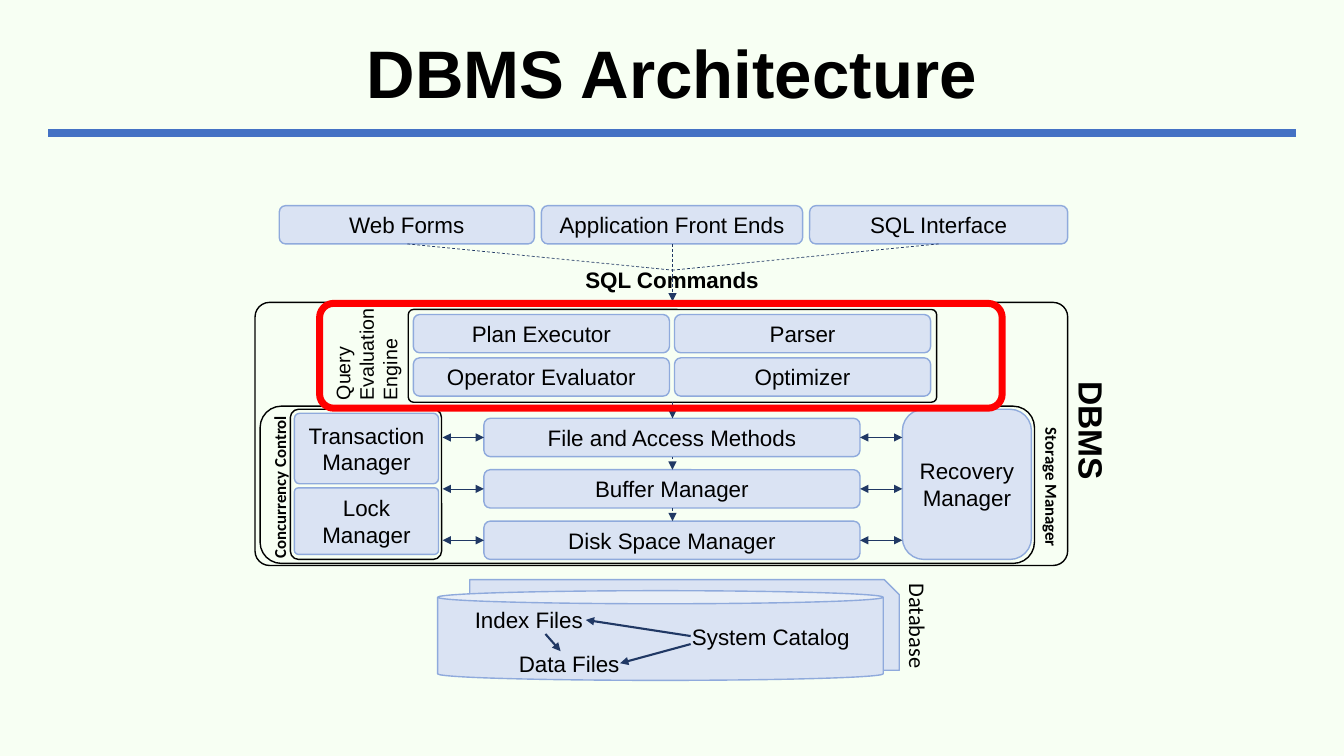
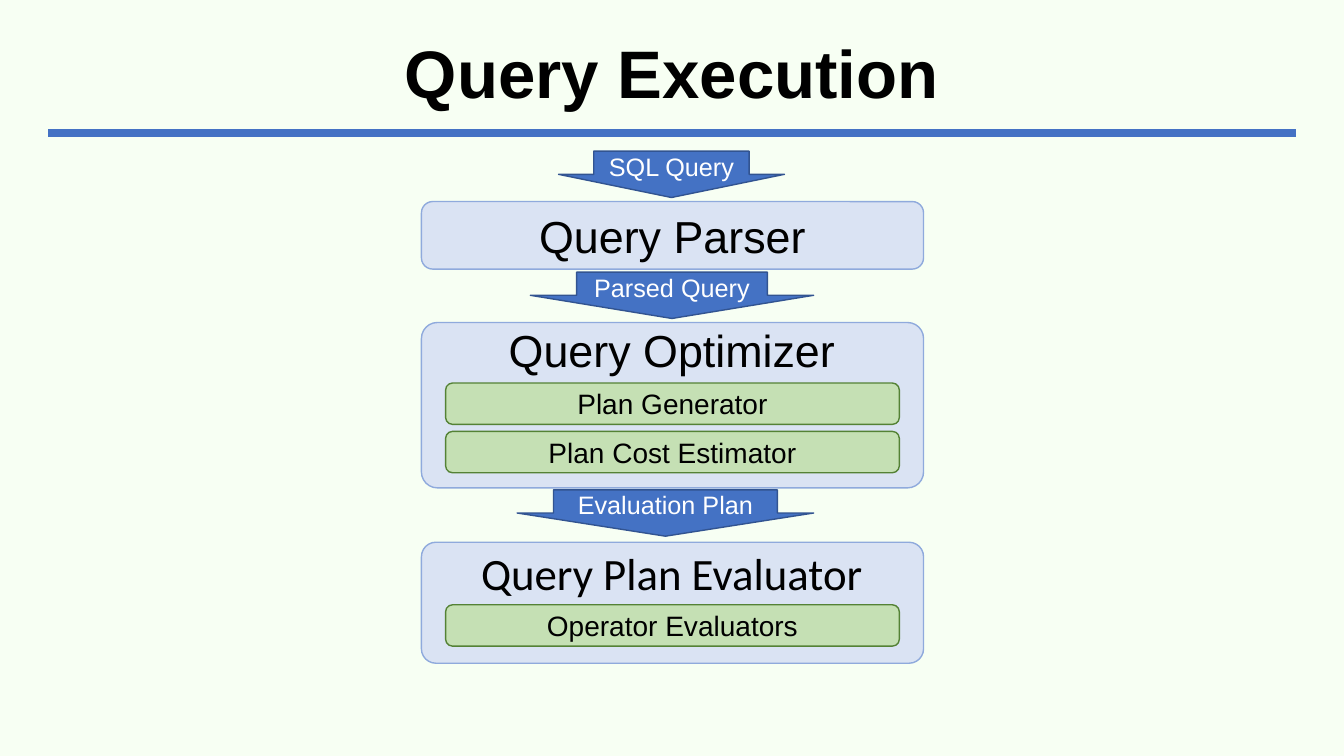
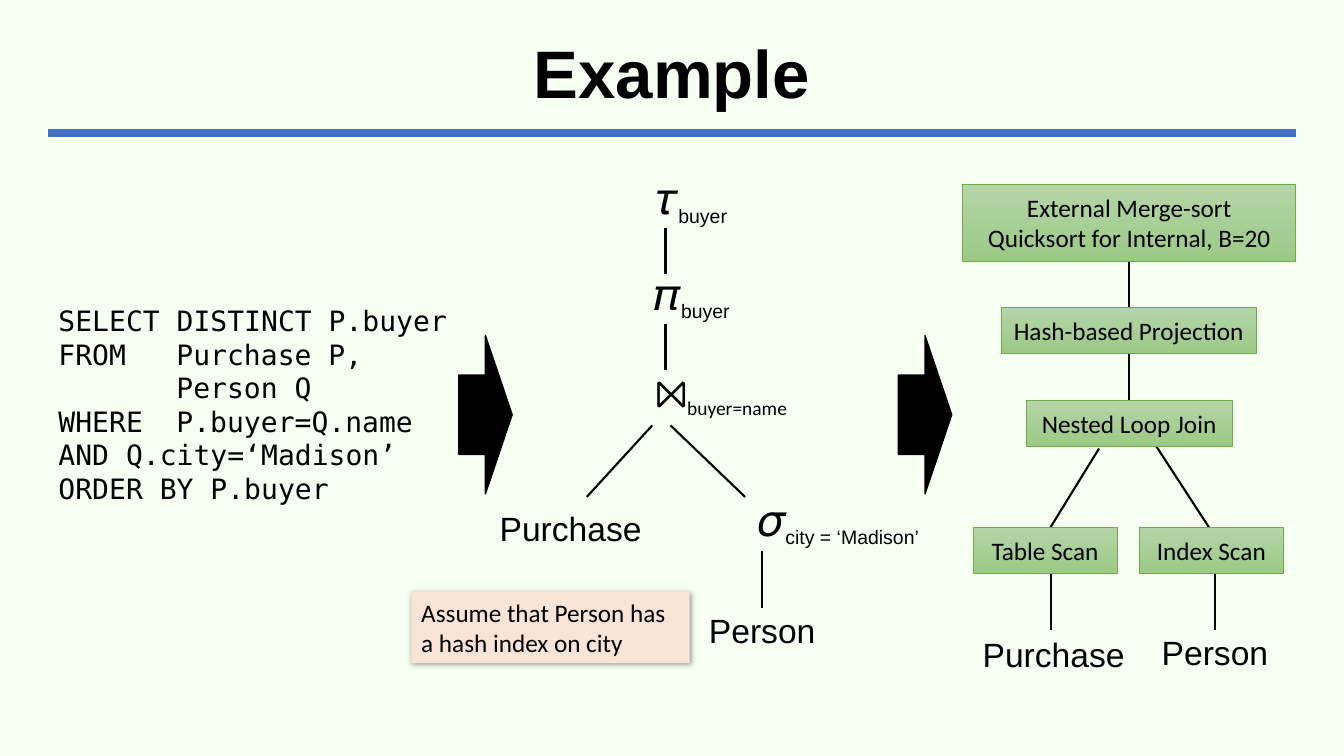
"""Build three slides on database query execution."""
from dataclasses import dataclass

from lxml import etree
from pptx import Presentation
from pptx import util as u
from pptx.dml.color import RGBColor
from pptx.enum import dml, shapes, text
from pptx.oxml.ns import qn

KIND = shapes.MSO_SHAPE
LEFT, MID = text.PP_ALIGN.LEFT, text.PP_ALIGN.CENTER


@dataclass(frozen=True)
class Theme:
    """Colours, fonts and type sizes of the deck."""

    back: str = "F7FFF3"
    ink: str = "000000"
    white: str = "FFFFFF"
    rule: str = "4472C4"
    navy: str = "203864"
    red: str = "FF0000"
    note: str = "FAE4D7"
    pale: tuple = ("DAE3F3", "8FAADC")
    green: tuple = ("C5E0B4", "548235")
    arrow: tuple = ("4472C4", "325491")
    black: tuple = ("000000", "000000")
    frame: tuple = (None, "000000")
    leaf: tuple = (("B5D5A7", "9CC987"), "70AD47")
    sans: str = "Arial"
    body: str = "Calibri"
    mono: str = "DejaVu Sans Mono"
    title: int = 48
    head: int = 32
    big: int = 24
    mid: int = 20
    small: int = 18
    base: int = 16
    side: int = 14
    tiny: int = 12


T = Theme()


def rgb(code):
    """Return a colour object for a hex code."""
    return RGBColor.from_string(code)


def box(at):
    """Return left, top, width and height as lengths."""
    return [u.Inches(n) for n in at]


def add(para, words, size, font=T.sans, tint=T.ink, bold=False, drop=0):
    """Add one styled run, lowered by drop percent."""
    run = para.add_run()
    run.text = words
    run.font.size = u.Pt(size)
    run.font.name = font
    run.font.bold = bold
    run.font.color.rgb = rgb(tint)
    if drop:
        run.font._element.set("baseline", str(-1000 * drop))


def write(frame, words, size, align=MID, **look):
    """Fill a text frame with one paragraph per line."""
    frame.word_wrap = True
    frame.vertical_anchor = text.MSO_ANCHOR.MIDDLE
    for i, line in enumerate(words.split("\n")):
        para = frame.add_paragraph() if i else frame.paragraphs[0]
        para.alignment = align
        add(para, line, size, **look)


def label(slide, at, words, size=T.base, turn=0, **look):
    """Add a text box without margins."""
    item = slide.shapes.add_textbox(*box(at))
    item.rotation = turn
    frame = item.text_frame
    frame.margin_left = frame.margin_right = 0
    frame.margin_top = frame.margin_bottom = 0
    write(frame, words, size, **look)
    return frame


def block(slide, at, words="", size=T.base, kind=KIND.ROUNDED_RECTANGLE,
          style=T.pale, adj=(), width=1, **look):
    """Add a filled or framed shape with optional text."""
    item = slide.shapes.add_shape(kind, *box(at))
    item.shadow.inherit = False
    for i, part in enumerate(adj):
        item.adjustments[i] = part
    fill, edge = style
    if fill is None:
        item.fill.background()
    elif isinstance(fill, tuple):
        item.fill.gradient()
        item.fill.gradient_angle = 270
        for stop, tint in zip(item.fill.gradient_stops, fill):
            stop.color.rgb = rgb(tint)
    else:
        item.fill.solid()
        item.fill.fore_color.rgb = rgb(fill)
    if edge:
        item.line.color.rgb = rgb(edge)
        item.line.width = u.Pt(width)
    else:
        item.line.fill.background()
    if words:
        write(item.text_frame, words, size, **look)
    return item


def link(slide, x1, y1, x2, y2, tint=T.ink, width=1.5, dash=False, ends=()):
    """Add a line with arrowheads at the named ends."""
    line = slide.shapes.add_connector(
        shapes.MSO_CONNECTOR.STRAIGHT, *box((x1, y1, x2, y2)))
    line.line.color.rgb = rgb(tint)
    line.line.width = u.Pt(width)
    if dash:
        line.line.dash_style = dml.MSO_LINE.DASH
    edge = line.line._get_or_add_ln()
    for end in ends:
        etree.SubElement(edge, qn(f"a:{end}End"), type="triangle")
    etree.SubElement(line._element.spPr, qn("a:effectLst"))


def term(slide, x, y, sign, sub, size=T.head, font=T.sans):
    """Add an operator sign with its subscript."""
    frame = label(slide, (x, y, 1.8, 0.6), sign, size, align=LEFT, font=font)
    add(frame.paragraphs[0], sub, T.big, font=font, drop=25)


def code(slide, at, words):
    """Add a query whose clauses line up on a tab stop."""
    frame = label(slide, at, words, T.mid, align=LEFT, font=T.mono)
    for para in frame.paragraphs:
        tabs = etree.SubElement(para._p.get_or_add_pPr(), qn("a:tabLst"))
        etree.SubElement(tabs, qn("a:tab"), pos=str(u.Inches(1.17)), algn="l")


def note(slide, at, words):
    """Add a remark with a soft shadow."""
    item = block(slide, at, words, T.small, KIND.RECTANGLE, (T.note, None),
                 align=LEFT, font=T.body)
    glow = etree.SubElement(
        item._element.spPr.find(qn("a:effectLst")), qn("a:outerShdw"),
        blurRad=str(u.Pt(4)), dist=str(u.Pt(1)), dir="2700000")
    tint = etree.SubElement(glow, qn("a:srgbClr"), val=T.ink)
    etree.SubElement(tint, qn("a:alpha"), val="40000")


def page(deck, title):
    """Add a slide with the shared title and rule."""
    slide = deck.slides.add_slide(deck.slide_layouts[6])
    link(slide, 0.48, 1.32, 12.85, 1.32, T.rule, 6)
    frame = label(slide, (0.48, 0.24, 12.37, 1.05), title, T.title, bold=True)
    frame.paragraphs[0].line_spacing = 0.9
    return slide


def design(deck):
    """Draw the layers of the database system."""
    slide = page(deck, "DBMS Architecture")
    block(slide, (4.66, 5.75, 4.26, 0.9), kind=KIND.SNIP_1_RECTANGLE)
    for x, wide, words in ((2.77, 2.53, "Web Forms"),
                           (5.37, 2.59, "Application Front Ends"),
                           (8.03, 2.56, "SQL Interface")):
        block(slide, (x, 2.04, wide, 0.38), words)
    label(slide, (5.64, 2.58, 2.05, 0.38), "SQL Commands", bold=True)
    for at in ((2.53, 3, 8.06, 2.61), (4.05, 3.07, 5.24, 0.92)):
        block(slide, at, style=T.frame, adj=[0.055])
    parts = ("Plan Executor", "Parser", "Operator Evaluator", "Optimizer")
    for i, words in enumerate(parts):
        row, col = divmod(i, 2)
        block(slide, (4.1 + 2.59 * col, 3.12 + 0.43 * row, 2.54, 0.38), words)
    layers = ("File and Access Methods", "Buffer Manager",
              "Disk Space Manager")
    for i, words in enumerate(layers):
        block(slide, (4.8, 4.15 + 0.51 * i, 3.73, 0.38), words)
    block(slide, (8.95, 4.06, 1.28, 1.49), "Recovery Manager")
    block(slide, (2.92, 4.1, 1.43, 0.7), "Transaction Manager", adj=[0.075])
    block(slide, (2.92, 4.84, 1.43, 0.66), "Lock Manager", adj=[0.06])
    block(slide, (2.88, 4.06, 1.5, 1.49), style=T.frame, adj=[0.055])
    store(slide)
    flow(slide)
    block(slide, (2.58, 4.03, 7.68, 1.56), style=T.frame, adj=[0.135])
    label(slide, (3.12, 3.01, 1.02, 0.9), "Query Evaluation Engine", T.side,
          270, align=LEFT)
    for x, y, wide, words, turn in (
            (2.03, 4.6, 1.48, "Concurrency Control", 270),
            (9.82, 4.66, 1.23, "Storage Manager", 90)):
        label(slide, (x, y, wide, 0.4), words, T.tiny, turn, align=LEFT,
              font=T.body, bold=True)
    label(slide, (10.3, 4.12, 1.06, 0.38), "DBMS", T.big, 90, align=LEFT,
          bold=True)
    block(slide, (3.17, 3.01, 6.77, 1.04), style=(None, T.red), adj=[0.135],
          width=5)


def store(slide):
    """Draw the database with its files."""
    block(slide, (4.34, 5.86, 4.42, 0.89), kind=KIND.CAN, adj=[0.146])
    for x, y, wide, words in ((4.42, 5.96, 1.65, "Index Files"),
                              (4.82, 6.39, 1.65, "Data Files"),
                              (6.64, 6.12, 2.01, "System Catalog")):
        label(slide, (x, y, wide, 0.38), words)
    label(slide, (8.55, 6.02, 1.11, 0.38), "Database", turn=90, font=T.body)
    for ends in ((5.81, 6.15, 6.85, 6.31), (6.15, 6.58, 6.85, 6.39),
                 (5.56, 6.46, 5.41, 6.29)):
        link(slide, *ends, T.navy, ends=["head"])


def flow(slide):
    """Draw the arrows between the layers."""
    for x in (4.04, 9.31):
        link(slide, x, 2.42, 6.67, 2.68, T.navy, 0.5, True)
    for top, low in ((2.42, 2.99), (3.99, 4.15), (4.53, 4.66), (5.04, 5.17)):
        link(slide, 6.67, top, 6.67, low, T.navy, 0.5, True, ["tail"])
    for i in range(3):
        y = 4.34 + 0.51 * i
        for x1, x2 in ((4.39, 4.8), (8.53, 8.95)):
            link(slide, x1, y, x2, y, T.navy, 0.5, ends=("head", "tail"))


def steps(deck):
    """Draw the stages a query passes through."""
    slide = page(deck, "Query Execution")
    block(slide, (4.18, 2, 4.98, 0.67), "Query Parser", T.head)
    for y, high, adj in ((3.2, 1.64, 0.096), (5.38, 1.2, 0.119)):
        block(slide, (4.18, y, 4.98, high), adj=[adj])
    label(slide, (4.55, 3.17, 4.23, 0.59), "Query Optimizer", T.head)
    label(slide, (4.55, 5.36, 4.23, 0.65), "Query Plan Evaluator", T.head,
          font=T.body)
    for y, words in ((3.8, "Plan Generator"), (4.28, "Plan Cost Estimator"),
                     (6, "Operator Evaluators")):
        block(slide, (4.42, y, 4.5, 0.41), words, T.mid, style=T.green)
    for x, y, wide, adj, words in (
            (5.54, 1.5, 2.24, 0.688, "SQL Query"),
            (5.26, 2.7, 2.81, 0.673, "Parsed Query"),
            (5.13, 4.86, 2.94, 0.755, "Evaluation Plan")):
        block(slide, (x, y, wide, 0.46), words, T.small, KIND.DOWN_ARROW,
              T.arrow, (adj, 0.5), tint=T.white)


def sample(deck):
    """Draw a query, its algebra tree and its plan."""
    slide = page(deck, "Example")
    code(slide, (0.58, 2.95, 3.98, 2.12),
         "SELECT DISTINCT P.buyer\nFROM\tPurchase P,\n\tPerson Q\n"
         "WHERE\tP.buyer=Q.name\nAND Q.city=‘Madison’\nORDER BY P.buyer")
    for x in (4.55, 8.91):
        block(slide, (x, 3.33, 0.53, 1.57), kind=KIND.RIGHT_ARROW,
              style=T.black)
    term(slide, 6.51, 1.67, "𝜏", "buyer")
    term(slide, 6.49, 2.62, "𝜋", "buyer")
    term(slide, 6.5, 3.61, "⨝", "buyer=name", 28, T.body)
    term(slide, 7.52, 4.86, "𝜎", "city = ‘Madison’")
    for x, y, words in ((4.86, 5.01, "Purchase"), (6.76, 6.03, "Person"),
                        (9.65, 6.26, "Purchase"), (11.25, 6.24, "Person")):
        label(slide, (x, y, 1.6, 0.45), words, T.big)
    for ends in ((6.6, 2.26, 6.6, 2.72), (6.6, 3.21, 6.6, 3.67),
                 (6.47, 4.22, 5.82, 4.93), (6.65, 4.22, 7.39, 4.93),
                 (7.56, 5.47, 7.56, 6.03), (11.2, 2.6, 11.2, 3.06),
                 (11.2, 3.51, 11.2, 3.97), (10.9, 4.45, 10.42, 5.23),
                 (11.47, 4.43, 11.99, 5.23), (10.42, 5.69, 10.42, 6.25),
                 (12.05, 5.69, 12.05, 6.25)):
        link(slide, *ends)
    for x, y, wide, high, words in (
            (9.55, 1.83, 3.3, 0.76,
             "External Merge-sort\nQuicksort for Internal, B=20"),
            (9.93, 3.05, 2.53, 0.46, "Hash-based Projection"),
            (10.18, 3.97, 2.04, 0.46, "Nested Loop Join"),
            (9.65, 5.23, 1.43, 0.46, "Table Scan"),
            (11.3, 5.23, 1.43, 0.46, "Index Scan")):
        block(slide, (x, y, wide, high), words, T.small, KIND.RECTANGLE,
              T.leaf, width=0.5, font=T.body)
    note(slide, (4.08, 5.87, 2.76, 0.71),
         "Assume that Person has a hash index on city")


def main():
    """Build and save the deck."""
    deck = Presentation()
    deck.slide_width, deck.slide_height = u.Inches(13.33), u.Inches(7.5)
    fill = deck.slide_master.background.fill
    fill.solid()
    fill.fore_color.rgb = rgb(T.back)
    design(deck)
    steps(deck)
    sample(deck)
    deck.save("out.pptx")


if __name__ == "__main__":
    main()
